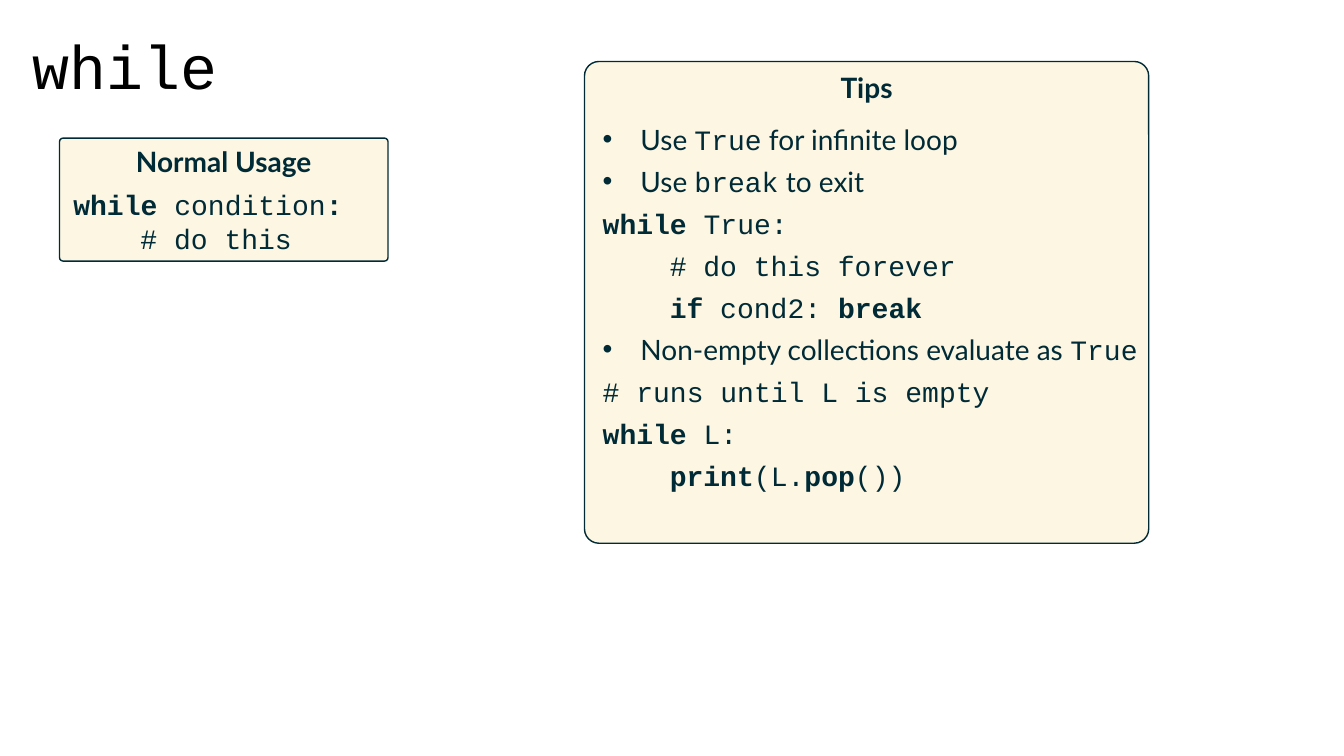
from dataclasses import dataclass
from typing import NamedTuple

from lxml.etree import SubElement
from pptx import Presentation
from pptx.dml.color import RGBColor
from pptx.enum.shapes import MSO_SHAPE as Shape
from pptx.enum.text import MSO_ANCHOR as Anchor, MSO_AUTO_SIZE as AutoSize, PP_ALIGN as Align
from pptx.oxml.ns import qn
from pptx.util import Cm, Pt

COLORS = {"paper": "FDF6E3", "ink": "002B36", "black": "000000"}
SANS, MONO = "Lato", "Courier New"
BULLET_INDENT = 0.95
CODE_INDENT = 1.69


class Run(NamedTuple):
    text: str
    font: str = MONO
    bold: bool = False


class Line(NamedTuple):
    runs: list[Run]
    indent: float = 0
    bullet: bool = False


class Box(NamedTuple):
    left: float
    top: float
    width: float
    height: float

    def lengths(self) -> list[Cm]:
        return [Cm(value) for value in self]


@dataclass
class Card:
    title: str
    frame: Box
    body: Box
    lines: list[Line]
    space_before: float = 0


CARDS = [
    Card("Normal Usage", Box(1.5, 3.48, 8.28, 3.1), Box(1.6, 4.6, 7.34, 1.96), [
        Line([Run("while ", bold=True), Run("condition"), Run(":", bold=True)]),
        Line([Run("# do this")], CODE_INDENT),
    ]),
    Card("Tips", Box(14.73, 1.55, 14.22, 12.14), Box(14.94, 2.95, 14, 9.65), [
        Line([Run("Use ", SANS), Run("True"), Run(" for infinite loop", SANS)], bullet=True),
        Line([Run("Use ", SANS), Run("break"), Run(" to exit", SANS)], bullet=True),
        Line([Run("while", bold=True), Run(" True:")]),
        Line([Run("# do this forever")], CODE_INDENT),
        Line([Run("if", bold=True), Run(" cond2: "), Run("break", bold=True)], CODE_INDENT),
        Line([Run("Non-empty collections evaluate as ", SANS), Run("True")], bullet=True),
        Line([Run("# runs until L is empty")]),
        Line([Run("while", bold=True), Run(" L:")]),
        Line([Run("print", bold=True), Run("(L."), Run("pop", bold=True), Run("())")],
             CODE_INDENT),
    ], space_before=6),
]


def add_text(p, text: str, *, font: str = MONO, size: float = 20,
             bold: bool = False, color: str = "ink") -> None:
    r = p.add_run()
    r.text = text
    r.font.name = font
    r.font.size = Pt(size)
    r.font.bold = bold
    r.font.color.rgb = RGBColor.from_string(COLORS[color])


def indent_line(p, line: Line) -> None:
    pPr = p._p.get_or_add_pPr()
    if line.bullet:
        pPr.set("marL", str(Cm(BULLET_INDENT)))
        pPr.set("indent", str(-Cm(BULLET_INDENT)))
        SubElement(pPr, qn("a:buFont"), typeface="Arial")
        SubElement(pPr, qn("a:buChar"), char="•")
    elif line.indent:
        pPr.set("marL", str(Cm(line.indent)))


def draw_title(slide, text: str, box: Box) -> None:
    tf = slide.shapes.add_textbox(*box.lengths()).text_frame
    tf.word_wrap = True
    tf.vertical_anchor = Anchor.MIDDLE
    p = tf.paragraphs[0]
    p.line_spacing = 0.9
    add_text(p, text, size=44, color="black")


def draw_frame(slide, card: Card) -> None:
    sp = slide.shapes.add_shape(Shape.ROUNDED_RECTANGLE, *card.frame.lengths())
    sp.adjustments[0] = 0.03
    sp.shadow.inherit = False
    sp.fill.solid()
    sp.fill.fore_color.rgb = RGBColor.from_string(COLORS["paper"])
    sp.line.color.rgb = RGBColor.from_string(COLORS["ink"])
    sp.line.width = Pt(1)
    tf = sp.text_frame
    tf.vertical_anchor = Anchor.TOP
    p = tf.paragraphs[0]
    p.alignment = Align.CENTER
    p.space_before = Pt(6)
    add_text(p, card.title, font=SANS, bold=True)


def draw_body(slide, card: Card) -> None:
    tf = slide.shapes.add_textbox(*card.body.lengths()).text_frame
    tf.word_wrap = False
    tf.auto_size = AutoSize.SHAPE_TO_FIT_TEXT
    for i, line in enumerate(card.lines):
        p = tf.add_paragraph() if i else tf.paragraphs[0]
        p.space_before = Pt(card.space_before)
        indent_line(p, line)
        for run in line.runs:
            add_text(p, run.text, font=run.font, bold=run.bold)


def main() -> None:
    prs = Presentation()
    prs.slide_width, prs.slide_height = Cm(33.87), Cm(19.05)
    slide = prs.slides.add_slide(prs.slide_layouts[6])
    draw_title(slide, "while", Box(0.58, -0.08, 29.21, 3.68))
    for card in CARDS:
        draw_frame(slide, card)
        draw_body(slide, card)
    prs.save("out.pptx")


if __name__ == "__main__":
    main()
